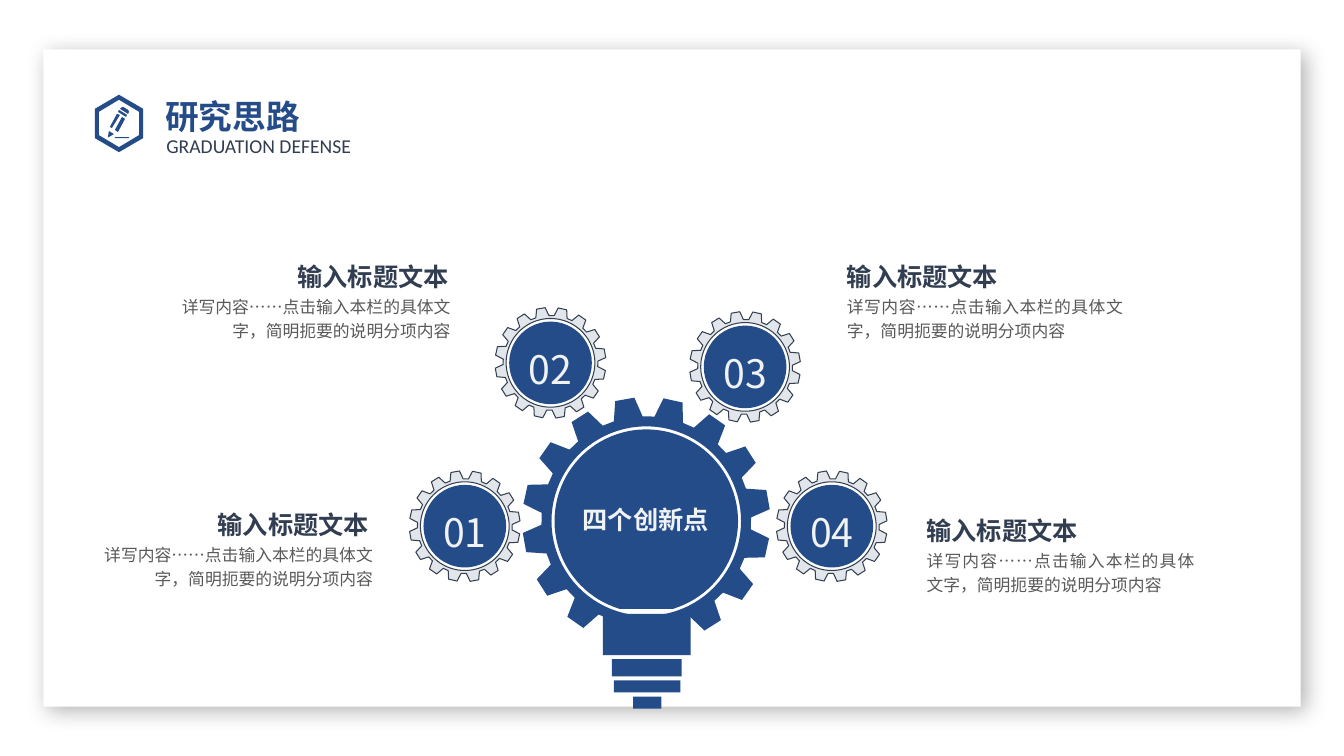
"""Build the four-innovations gear bulb slide."""
from math import asin, cos, pi, radians, sin

from lxml import etree
from pptx import Presentation
from pptx.dml.color import RGBColor
from pptx.enum.shapes import MSO_SHAPE as SHAPE
from pptx.enum.text import MSO_AUTO_SIZE as AUTO, PP_ALIGN as AL
from pptx.oxml import parse_xml
from pptx.oxml.ns import nsdecls, qn
from pptx.util import Pt

PX = 9144
CJK = "Noto Sans CJK SC"
COLORS = {"white": "FFFFFF", "blue": "244C89", "navy": "313D51", "body": "595959",
          "gear": "E2E6EA", "edge": "333F50", "light": "F0F2F4"}
C = {name: RGBColor.from_string(value) for name, value in COLORS.items()}

prs = Presentation()
prs.slide_width, prs.slide_height = 1333 * PX, 750 * PX
s = prs.slides.add_slide(prs.slide_layouts[6])


def add_outline(rings, fill, line=None):
    rings = [[(x * PX, y * PX) for x, y in ring] for ring in rings]
    fb = s.shapes.build_freeform(*rings[0][0], scale=1.0)
    for i, ring in enumerate(rings):
        if i:
            fb.move_to(*ring[0])
        fb.add_line_segments(ring[1:], close=True)
    sp = fb.convert_to_shape()
    sp.shadow.inherit = False
    sp.fill.solid()
    sp.fill.fore_color.rgb = C[fill]
    if line:
        sp.line.color.rgb = C[line]
        sp.line.width = Pt(0.75)
    else:
        sp.line.fill.background()


def add_text(box, text, size, color, font=CJK, bold=False, align=AL.LEFT,
             spacing=1.2, insets=(10, 5, 10, 5), wrap=True):
    tf = s.shapes.add_textbox(*(v * PX for v in box)).text_frame
    tf.word_wrap = wrap
    tf.auto_size = AUTO.SHAPE_TO_FIT_TEXT
    tf.margin_left, tf.margin_top, tf.margin_right, tf.margin_bottom = (v * PX for v in insets)
    p = tf.paragraphs[0]
    p.alignment, p.line_spacing = align, spacing
    r = p.add_run()
    r.text = text
    r.font.size, r.font.bold, r.font.name = Pt(size), bold, font
    r.font.color.rgb = C[color]
    etree.SubElement(r.font._element, qn("a:ea"), typeface=CJK)


card = s.shapes.add_shape(SHAPE.RECTANGLE, 43 * PX, 49 * PX, 1247 * PX, 652 * PX)
card.fill.solid()
card.fill.fore_color.rgb = C["white"]
card.line.fill.background()
card._element.spPr.append(parse_xml(
    f'<a:effectLst {nsdecls("a")}><a:outerShdw blurRad="{Pt(15)}" dist="{Pt(5)}" dir="2700000" '
    'algn="tl" rotWithShape="0"><a:srgbClr val="000000"><a:alpha val="30000"/></a:srgbClr>'
    '</a:outerShdw></a:effectLst>'))

hex_outer = [(118, 94), (142, 108), (142, 137), (118, 151), (94, 137), (94, 108)]
hex_inner = [(118, 99), (138, 111), (138, 134), (118, 146), (98, 134), (98, 111)]
pencil = [
    [(114, 136), (128, 136), (128, 137), (114, 137)],
    [(114, 129), (121, 116), (124, 118), (117, 131)],
    [(109, 126), (116, 113), (119, 114), (111, 127)],
    [(107, 136), (108, 130), (113, 133), (108, 136)],
    [(118, 109), (117, 111), (125, 116), (126, 114)],
    [(120, 107), (122, 106), (127, 109), (128, 111), (127, 113), (119, 108)],
]
add_outline([hex_outer, hex_inner, *pencil], "blue")
add_text((165, 124, 217, 34), "GRADUATION DEFENSE", 14, "navy", "Calibri",
         spacing=Pt(23), insets=(0, 0, 0, 5))
add_text((154, 82, 397, 50), "研究思路", 24, "blue", "Lato", bold=True)

captions = [(199, 253, 174, 273, AL.RIGHT), (120, 499, 92, 278, AL.RIGHT),
            (840, 253, 840, 274, AL.LEFT), (919, 505, 919, 266, AL.LEFT)]
for head_x, y, body_x, body_w, align in captions:
    add_text((head_x, y, 246, 33), "输入标题文本", 18, "navy", bold=True,
             align=align, insets=(0, 0, 0, 0))
    add_text((body_x, y + 37, body_w, 46), "详写内容……点击输入本栏的具体文字，简明扼要的说明分项内容",
             12, "body", align=AL.JUSTIFY if align == AL.LEFT else align, insets=(0, 0, 0, 0))

TEETH = 16
BULB = (641, 517, 123, 104, 94)
SMALL = [(461, 522), (546, 360), (739, 364), (825, 522)]
gears = [(*BULB, "blue", None)] + [(x, y, 55, 47, 44, "gear", "edge") for x, y in SMALL]
for cx, cy, tip, root, hole, fill, line in gears:
    teeth = []
    for i in range(TEETH):
        for offset, radius in ((-8, root), (-4.5, tip), (4.5, tip), (8, root)):
            a = radians(80 + i * 360 / TEETH + offset)
            teeth.append((cx + radius * cos(a), cy + radius * sin(a)))
    bore = [(cx + hole * cos(radians(a)), cy + hole * sin(radians(a))) for a in range(360, 0, -4)]
    add_outline([teeth, bore], fill, line)

base = [(598, 609, 87, 41), (607, 654, 69, 17), (609, 675, 66, 12), (628, 691, 28, 12)]
add_outline([[(x, y), (x + w, y), (x + w, y + h), (x, y + h)] for x, y, w, h in base], "blue")

cx, cy = BULB[:2]
cut = asin(87 / 91)
arc = [pi - cut + i * (pi + 2 * cut) / 90 for i in range(91)]
add_outline([[(cx + 91 * cos(a), cy + 91 * sin(a)) for a in arc]], "blue")
add_text((565, 489, 151, 43), "四个创新点", 18, "light", bold=True, align=AL.CENTER)

for i, (x, y) in enumerate(SMALL, 1):
    disc = s.shapes.add_shape(SHAPE.OVAL, (x - 41) * PX, (y - 41) * PX, 82 * PX, 82 * PX)
    disc.shadow.inherit = False
    disc.fill.solid()
    disc.fill.fore_color.rgb = C["blue"]
    disc.line.fill.background()
    add_text((x - 33, y - 32, 66, 62), f"{i:02}", 28, "light", align=AL.CENTER, wrap=False)

prs.save("out.pptx")
